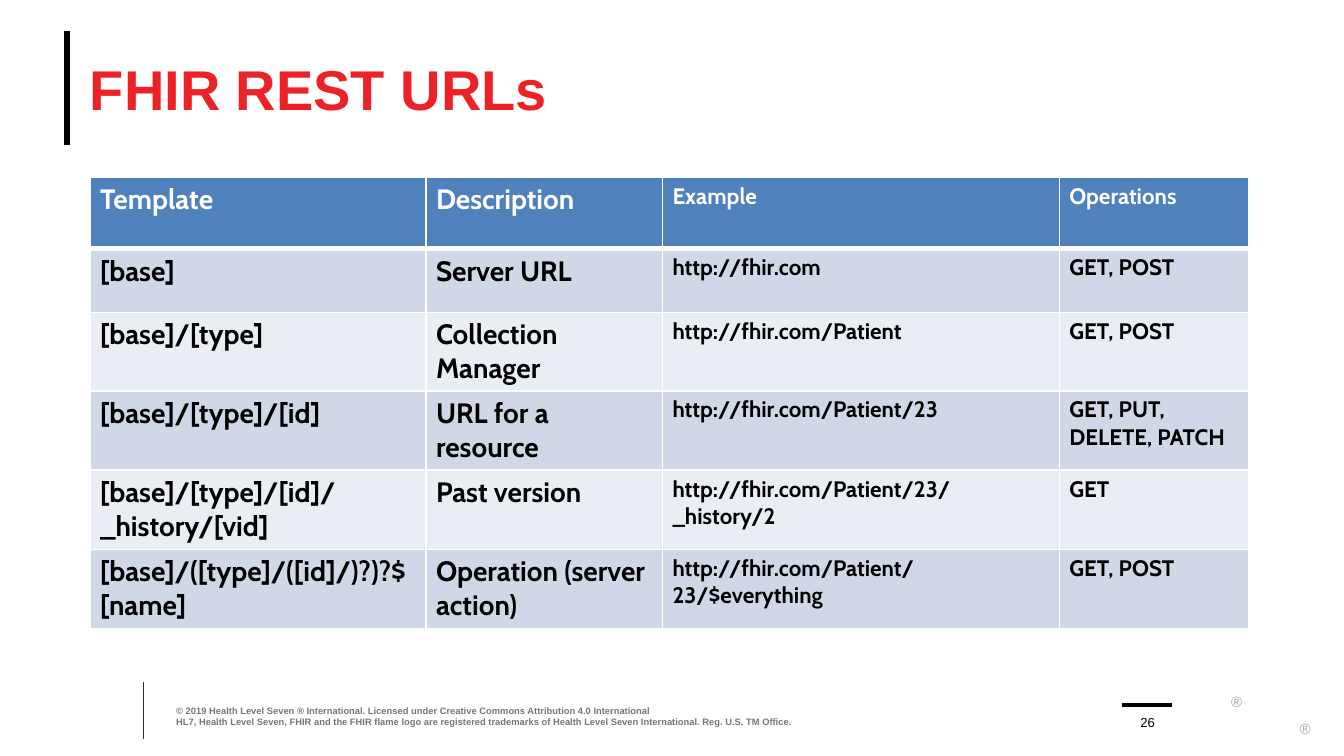
from lxml import etree
from pptx import Presentation
from pptx.dml.color import RGBColor
from pptx.enum.shapes import MSO_CONNECTOR
from pptx.enum.text import MSO_ANCHOR, MSO_AUTO_SIZE, PP_ALIGN
from pptx.oxml.ns import qn
from pptx.util import Cm, Pt

BLACK = RGBColor(0x00, 0x00, 0x00)
WHITE = RGBColor(0xFF, 0xFF, 0xFF)
RED = RGBColor(0xEC, 0x22, 0x27)
BROWN = RGBColor(0x3D, 0x30, 0x29)
GREY = RGBColor(0x74, 0x76, 0x79)
LIGHT_GREY = RGBColor(0xA6, 0xA6, 0xA6)
HEADER_BLUE = RGBColor(0x4F, 0x81, 0xBD)
BANDS = [RGBColor(0xE9, 0xED, 0xF4), RGBColor(0xD0, 0xD8, 0xE8)]


def fill_text(frame, text, size, color, bold, font="Arial", align=PP_ALIGN.LEFT):
    frame.text = text
    frame.word_wrap = True
    for paragraph in frame.paragraphs:
        paragraph.alignment = align
        for run in paragraph.runs:
            run.font.name = font
            run.font.size = Pt(size)
            run.font.bold = bold
            run.font.color.rgb = color


def set_borders(cell, bottom):
    properties = cell._tc.get_or_add_tcPr()
    widths = {"a:lnL": 1, "a:lnR": 1, "a:lnT": 1, "a:lnB": bottom}
    for index, (side, width) in enumerate(widths.items()):
        line = etree.Element(qn(side), w=str(Pt(width)))
        solid = etree.SubElement(line, qn("a:solidFill"))
        etree.SubElement(solid, qn("a:srgbClr"), val=str(WHITE))
        properties.insert(index, line)


prs = Presentation()
prs.slide_width, prs.slide_height = Cm(25.4), Cm(14.28)
slide = prs.slides.add_slide(prs.slide_layouts[5])

# Rules beside the title, the footer and the page number
rules = [
    (1.27, 0.58, 1.27, 2.74, BLACK, 3.25),
    (2.72, 12.88, 2.72, 13.95, BROWN, 0.5),
    (21.21, 13.31, 22.15, 13.31, BLACK, 2),
]
for x1, y1, x2, y2, color, width in rules:
    rule = slide.shapes.add_connector(
        MSO_CONNECTOR.STRAIGHT, Cm(x1), Cm(y1), Cm(x2), Cm(y2))
    rule.line.color.rgb = color
    rule.line.width = Pt(width)
    etree.SubElement(rule._element.spPr, qn("a:effectLst"))

# Title
title = slide.shapes.title
title.left, title.top, title.width, title.height = Cm(1.7), Cm(0.58), Cm(22.86), Cm(2.18)
title_frame = title.text_frame
title_frame.margin_left = title_frame.margin_right = 0
title_frame.margin_top = title_frame.margin_bottom = 0
title_frame.vertical_anchor = MSO_ANCHOR.MIDDLE
title_frame.auto_size = MSO_AUTO_SIZE.NONE
fill_text(title_frame, "FHIR REST URLs", 30, RED, True)

# Registered marks, copyright and page number
copyright_lines = (
    "© 2019 Health Level Seven ® International. "
    "Licensed under Creative Commons Attribution 4.0 International\n"
    "HL7, Health Level Seven, FHIR and the FHIR flame logo are registered trademarks "
    "of Health Level Seven International. Reg. U.S. TM Office."
)
footer = [
    (23.27, 13.07, 0.28, 0.35, "®", 8, LIGHT_GREY, False, PP_ALIGN.LEFT),
    (24.56, 13.58, 0.28, 0.35, "®", 8, LIGHT_GREY, False, PP_ALIGN.LEFT),
    (3.33, 13.31, 12.57, 0.43, copyright_lines, 5, GREY, True, PP_ALIGN.LEFT),
    (21.31, 13.31, 0.76, 0.48, "26", 7, BLACK, False, PP_ALIGN.CENTER),
]
for left, top, width, height, text, size, color, bold, align in footer:
    note = slide.shapes.add_textbox(Cm(left), Cm(top), Cm(width), Cm(height))
    frame = note.text_frame
    frame.margin_left = frame.margin_right = frame.margin_top = frame.margin_bottom = 0
    frame.vertical_anchor = MSO_ANCHOR.BOTTOM
    fill_text(frame, text, size, color, bold, align=align)

# URL table
url_rows = [
    ("Template", "Description", "Example", "Operations"),
    ("[base]", "Server URL", "http://fhir.com", "GET, POST"),
    ("[base]/[type]", "Collection Manager", "http://fhir.com/Patient", "GET, POST"),
    ("[base]/[type]/[id]", "URL for a resource", "http://fhir.com/Patient/23",
     "GET, PUT, DELETE, PATCH"),
    ("[base]/[type]/[id]/_history/[vid]", "Past version",
     "http://fhir.com/Patient/23/_history/2", "GET"),
    ("[base]/([type]/([id]/)?)?$[name]", "Operation (server action)",
     "http://fhir.com/Patient/23/$everything", "GET, POST"),
]
column_widths = [6.35, 4.47, 7.5, 3.58]
row_heights = [1.35, 1.2, 1.48, 1.5, 1.5, 1.5]
column_sizes = [15, 15, 12, 12]

url_table = slide.shapes.add_table(
    len(url_rows), len(column_widths), Cm(1.7), Cm(3.35),
    Cm(sum(column_widths)), Cm(sum(row_heights))).table
for column, width in zip(url_table.columns, column_widths):
    column.width = Cm(width)
for row, height in zip(url_table.rows, row_heights):
    row.height = Cm(height)

for r, texts in enumerate(url_rows):
    is_header = r == 0
    for c, text in enumerate(texts):
        cell = url_table.cell(r, c)
        cell.margin_left = cell.margin_right = Cm(0.19)
        cell.margin_top = cell.margin_bottom = Cm(0.1)
        cell.fill.solid()
        cell.fill.fore_color.rgb = HEADER_BLUE if is_header else BANDS[r % 2]
        set_borders(cell, bottom=3 if is_header else 1)
        fill_text(cell.text_frame, text, column_sizes[c],
                  WHITE if is_header else BLACK, True, font="Cabin")

prs.save("out.pptx")
